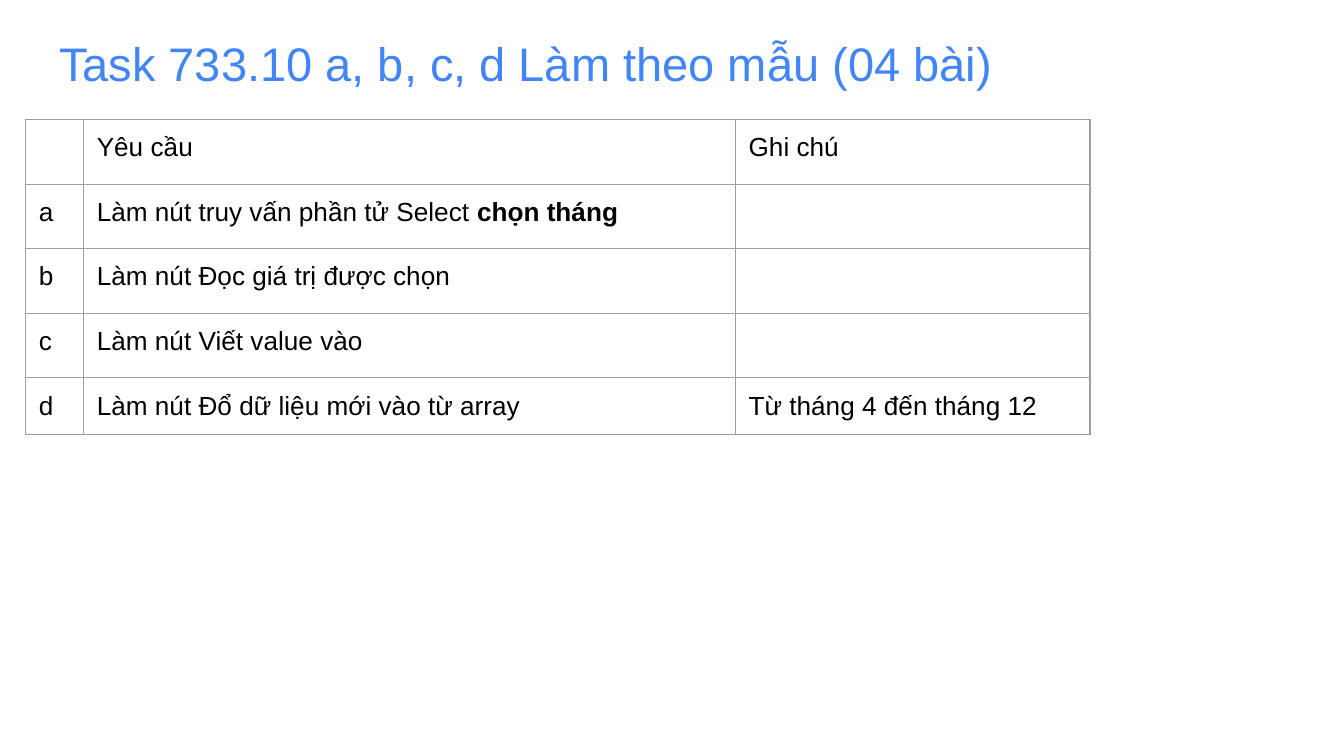
from dataclasses import dataclass

from lxml.etree import SubElement
from pptx import Presentation
from pptx.dml.color import RGBColor
from pptx.enum.text import MSO_ANCHOR, PP_ALIGN
from pptx.oxml.ns import qn
from pptx.table import _Cell as Cell
from pptx.text.text import TextFrame
from pptx.util import Inches, Pt


@dataclass(frozen=True)
class Theme:
    font: str = "Arial"
    title_color: str = "4285F4"
    text_color: str = "000000"
    border_color: str = "9E9E9E"
    title_size: float = 25.2
    table_size: float = 14
    empty_size: float = 18
    border_width: float = 0.75
    inset: float = 0.1


@dataclass(frozen=True)
class TaskRow:
    label: str
    request: str
    note: str = ""
    bold_ending: str = ""


THEME = Theme()
SLIDE_WIDTH = Inches(10)
SLIDE_HEIGHT = SLIDE_WIDTH * 9 // 16
COLUMN_WIDTHS = (0.43, 4.85, 2.64)
ROW_HEIGHT = 0.42
TASK_ROWS = (
    TaskRow("", "Yêu cầu", "Ghi chú"),
    TaskRow("a", "Làm nút truy vấn phần tử Select ", bold_ending="chọn tháng"),
    TaskRow("b", "Làm nút Đọc giá trị được chọn"),
    TaskRow("c", "Làm nút Viết value vào"),
    TaskRow("d", "Làm nút Đổ dữ liệu mới vào từ array", "Từ tháng 4 đến tháng 12"),
)


def write_text(frame: TextFrame, text: str, *, size: float, color: str, bold: bool = False) -> None:
    paragraph = frame.paragraphs[0]
    paragraph.alignment = PP_ALIGN.LEFT
    run = paragraph.add_run()
    run.text = text
    run.font.name = THEME.font
    run.font.size = Pt(size)
    run.font.bold = bold
    run.font.color.rgb = RGBColor.from_string(color)


def format_empty_cell(cell: Cell) -> None:
    paragraph = cell.text_frame.paragraphs[0]
    properties = SubElement(paragraph._p, qn("a:endParaRPr"), sz=str(int(THEME.empty_size * 100)))
    SubElement(properties, qn("a:latin"), typeface=THEME.font)


def add_borders(cell: Cell) -> None:
    properties = cell._tc.get_or_add_tcPr()
    for side in ("a:lnL", "a:lnR", "a:lnT", "a:lnB"):
        line = SubElement(properties, qn(side), w=str(int(Pt(THEME.border_width))))
        fill = SubElement(line, qn("a:solidFill"))
        SubElement(fill, qn("a:srgbClr"), val=THEME.border_color)


def format_cell(cell: Cell) -> None:
    cell.margin_left = cell.margin_right = Inches(THEME.inset)
    cell.margin_top = cell.margin_bottom = Inches(THEME.inset)
    cell.vertical_anchor = MSO_ANCHOR.TOP
    add_borders(cell)
    cell.fill.background()


def add_title(slide, text: str) -> None:
    title = slide.shapes.title
    title.left, title.top = Inches(0.34), Inches(0.15)
    title.width, title.height = Inches(9.32), Inches(0.63)
    frame = title.text_frame
    frame.word_wrap = True
    frame.vertical_anchor = MSO_ANCHOR.BOTTOM
    frame.margin_left = frame.margin_right = Inches(THEME.inset)
    frame.margin_top = frame.margin_bottom = Inches(THEME.inset)
    write_text(frame, text, size=THEME.title_size, color=THEME.title_color)


def add_task_table(slide) -> None:
    table = slide.shapes.add_table(
        len(TASK_ROWS), len(COLUMN_WIDTHS), Inches(0.19), Inches(0.89),
        Inches(sum(COLUMN_WIDTHS)), Inches(ROW_HEIGHT * len(TASK_ROWS)),
    ).table
    table.first_row = table.horz_banding = False
    for column, width in zip(table.columns, COLUMN_WIDTHS):
        column.width = Inches(width)
    for index, task in enumerate(TASK_ROWS):
        table.rows[index].height = Inches(ROW_HEIGHT)
        for position, text in enumerate((task.label, task.request, task.note)):
            cell = table.cell(index, position)
            format_cell(cell)
            if text:
                write_text(cell.text_frame, text, size=THEME.table_size, color=THEME.text_color)
            else:
                format_empty_cell(cell)
        if task.bold_ending:
            write_text(table.cell(index, 1).text_frame, task.bold_ending,
                       size=THEME.table_size, color=THEME.text_color, bold=True)


def main() -> None:
    presentation = Presentation()
    presentation.slide_width, presentation.slide_height = SLIDE_WIDTH, SLIDE_HEIGHT
    slide = presentation.slides.add_slide(presentation.slide_layouts.get_by_name("Title Only"))
    add_title(slide, "Task 733.10 a, b, c, d Làm theo mẫu (04 bài)")
    add_task_table(slide)
    presentation.save("out.pptx")


main()
